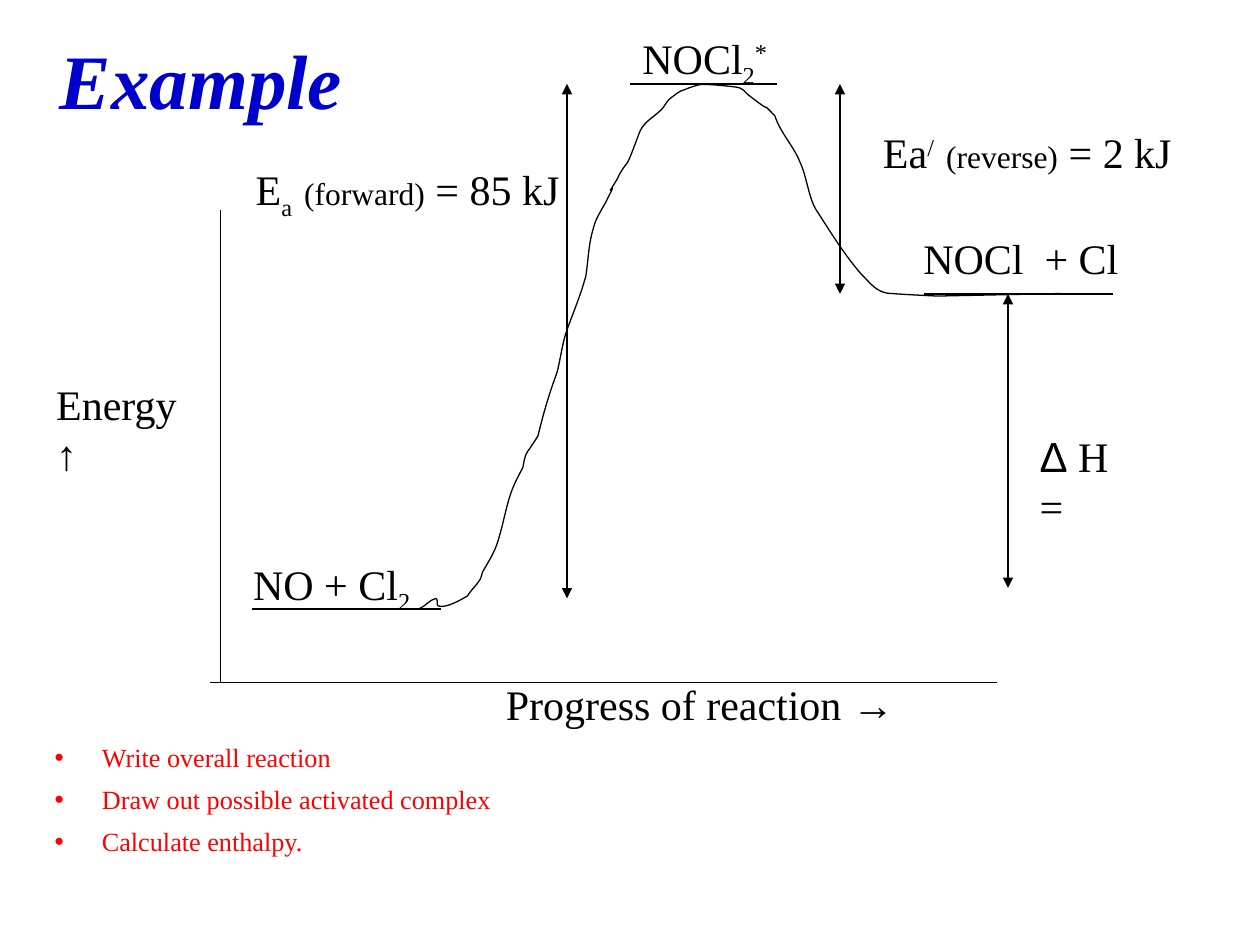
import pptx
import pptx.dml.color
import pptx.enum.text
import pptx.oxml
import pptx.oxml.ns
import pptx.util

Pt = pptx.util.Pt
qn = pptx.oxml.ns.qn
RGBColor = pptx.dml.color.RGBColor
PP_ALIGN = pptx.enum.text.PP_ALIGN
MSO_ANCHOR = pptx.enum.text.MSO_ANCHOR
MSO_AUTO_SIZE = pptx.enum.text.MSO_AUTO_SIZE

BLACK = RGBColor(0x00, 0x00, 0x00)
BLUE = RGBColor(0x00, 0x00, 0xCC)
RED = RGBColor(0xFF, 0x00, 0x00)
SUB = {"baseline": -25000}
SUP = {"baseline": 30000}
SMALL = {"size": 18}
SYMBOL = {"name": "Arial"}

# Levels and positions shared by the lines of the diagram, in points
PEAK, PRODUCTS, REACTANTS, AXIS = 48, 168, 348, 390

# Energy curve in hundredths of an inch: start, then Bezier triples
CURVE_START = (333, 483)
CURVE = [
    (338, 481), (341, 476), (346, 475), (348, 475), (346, 481), (348, 481),
    (354, 483), (366, 476), (371, 473), (374, 468), (378, 465), (381, 460),
    (382, 459), (382, 456), (383, 454), (387, 447), (391, 441), (394, 433),
    (399, 419), (401, 404), (406, 390), (409, 382), (412, 377), (415, 371),
    (416, 367), (416, 362), (419, 358), (422, 354), (427, 346), (427, 346),
    (431, 329), (436, 312), (442, 296), (445, 285), (446, 273), (450, 262),
    (455, 248), (461, 234), (465, 219), (467, 206), (467, 194), (471, 181),
    (473, 172), (479, 165), (483, 156), (492, 139), (477, 163), (490, 142),
    (492, 137), (495, 133), (498, 129), (500, 126), (506, 109), (508, 104),
    (512, 96), (519, 93), (525, 87), (527, 85), (529, 81), (531, 79),
    (535, 76), (539, 72), (544, 71), (548, 69), (556, 67), (556, 67),
    (565, 67), (574, 68), (583, 69), (591, 70), (589, 72), (596, 77),
    (618, 94), (600, 77), (615, 92), (619, 105), (630, 116), (635, 129),
    (640, 139), (642, 158), (648, 167), (659, 184), (670, 202), (683, 217),
    (691, 225), (696, 233), (708, 233), (720, 234), (744, 235), (744, 235),
]
CURVE_END = (842, 233)


class SlideBuilder:
    font = "Times New Roman"
    text_size = 24
    line_width = 0.75

    def __init__(self, slide):
        self.slide = slide

    def style(self, p, size, color):
        p.font.name = self.font
        p.font.size = Pt(size)
        p.font.color.rgb = color

    def place(self, sp, x, y, w, h):
        sp.left, sp.top, sp.width, sp.height = Pt(x), Pt(y), Pt(w), Pt(h)

    def title(self, text, *box):
        sp = self.slide.shapes.title
        self.place(sp, *box)
        tf = sp.text_frame
        tf.text = text
        tf.vertical_anchor = MSO_ANCHOR.MIDDLE
        p = tf.paragraphs[0]
        p.alignment = PP_ALIGN.CENTER
        self.style(p, 44, BLUE)
        p.font.bold = p.font.italic = True

    def bullets(self, items, *box):
        sp = self.slide.placeholders[1]
        self.place(sp, *box)
        tf = sp.text_frame
        tf.auto_size = MSO_AUTO_SIZE.NONE
        tf.text = "\n".join(items)
        for p in tf.paragraphs:
            self.style(p, 15, RED)
            p.space_before = Pt(6)
            pPr = p._p.get_or_add_pPr()
            pPr.set("marL", str(Pt(27)))
            pPr.set("indent", str(Pt(-27)))

    def label(self, runs, x, y, w, h=36, wrap=False):
        sp = self.slide.shapes.add_textbox(Pt(x), Pt(y), Pt(w), Pt(h))
        tf = sp.text_frame
        tf.word_wrap = wrap
        tf.auto_size = MSO_AUTO_SIZE.SHAPE_TO_FIT_TEXT
        p = tf.paragraphs[0]
        self.style(p, self.text_size, BLACK)
        for text, look in runs:
            r = p.add_run()
            r.text = text
            if "size" in look:
                r.font.size = Pt(look["size"])
            if "name" in look:
                r.font.name = look["name"]
            if "baseline" in look:
                r._r.get_or_add_rPr().set("baseline", str(look["baseline"]))

    def line(self, x1, y1, x2, y2, arrows=False):
        cn = self.slide.shapes.add_connector(1, Pt(x1), Pt(y1), Pt(x2), Pt(y2))
        cn.line.color.rgb = BLACK
        cn.line.width = Pt(self.line_width)
        if arrows:
            ln = cn.line._get_or_add_ln()
            for end in ("a:headEnd", "a:tailEnd"):
                pptx.oxml.xmlchemy.OxmlElement(end)
                tip = ln.makeelement(qn(end), {"type": "triangle"})
                ln.append(tip)
        spPr = cn._element.spPr
        spPr.append(spPr.makeelement(qn("a:effectLst"), {}))

    def curve(self, start, controls, end, unit):
        builder = self.slide.shapes.build_freeform(*start, scale=unit)
        builder.add_line_segments(controls + [end], close=False)
        sp = builder.convert_to_shape()
        sp.shadow.inherit = False
        sp.fill.background()
        sp.line.color.rgb = BLACK
        sp.line.width = Pt(self.line_width)
        # Join each three points into one cubic segment; the last stays straight
        segments = list(sp._element.iter(qn("a:lnTo")))[:-1]
        for i in range(0, len(segments), 3):
            first, *others = segments[i:i + 3]
            cubic = first.makeelement(qn("a:cubicBezTo"), {})
            first.addprevious(cubic)
            for seg in (first, *others):
                cubic.append(seg[0])
                seg.getparent().remove(seg)


def main():
    prs = pptx.Presentation()
    prs.slide_width, prs.slide_height = Pt(720), Pt(540)
    s = SlideBuilder(prs.slides.add_slide(prs.slide_layouts[1]))

    # Title and tasks
    s.title("Example", -80, 0, 390, 90)
    s.bullets(["Write overall reaction", "Draw out possible activated complex",
               "Calculate enthalpy."], 24, 420, 570, 72)

    # Axes
    s.line(126, 120, 126, AXIS)
    s.line(120, AXIS, 570, AXIS)
    s.label([("Energy ", {}), ("↑", SYMBOL)], 25, 212.5, 99, wrap=True)
    s.label([("Progress of reaction ", {}), ("→", SYMBOL)],
            282, 384, 294, wrap=True)

    # Energy levels and curve
    s.line(144, REACTANTS, 252, REACTANTS)
    s.line(528, PRODUCTS, 636, PRODUCTS)
    s.line(360, PEAK, 444, PEAK)
    s.curve(CURVE_START, CURVE, CURVE_END, Pt(0.72))
    s.label([("NO + Cl", {}), ("2", SUB)], 137.5, 315.5, 104.5, 40)
    s.label([("NOCl  + Cl", {})], 520.5, 129.5, 126)
    s.label([("NOCl", {}), ("2", SUB), ("*", SUP)], 360, 15, 85.5, 40)

    # Energy differences
    for x, top, bottom in ((480, PEAK, PRODUCTS), (324, PEAK, 342),
                           (576, PRODUCTS, 336)):
        s.line(x, top, x, bottom, arrows=True)
    s.label([("Δ", SYMBOL), (" H =", {})], 587, 242.5, 72, wrap=True)
    s.label([("E", {}), ("a  ", SUB), ("(forward)", SMALL), (" = 85 kJ", {})],
            139, 90, 188, 40)
    s.label([("Ea", {}), ("/  ", SUP), ("(reverse)", SMALL), (" = 2 kJ", {})],
            497.5, 69, 188)

    prs.save("out.pptx")


if __name__ == "__main__":
    main()
